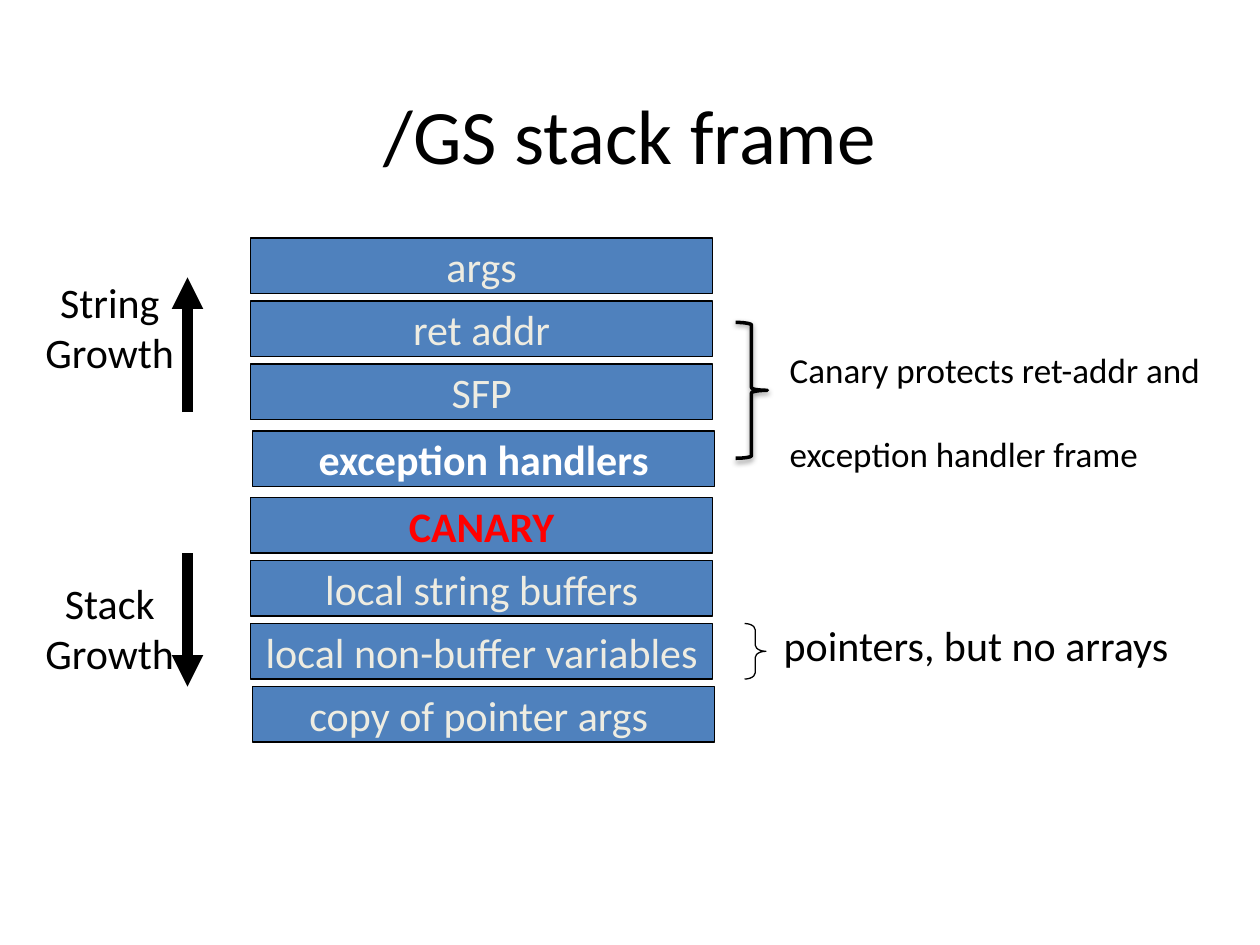
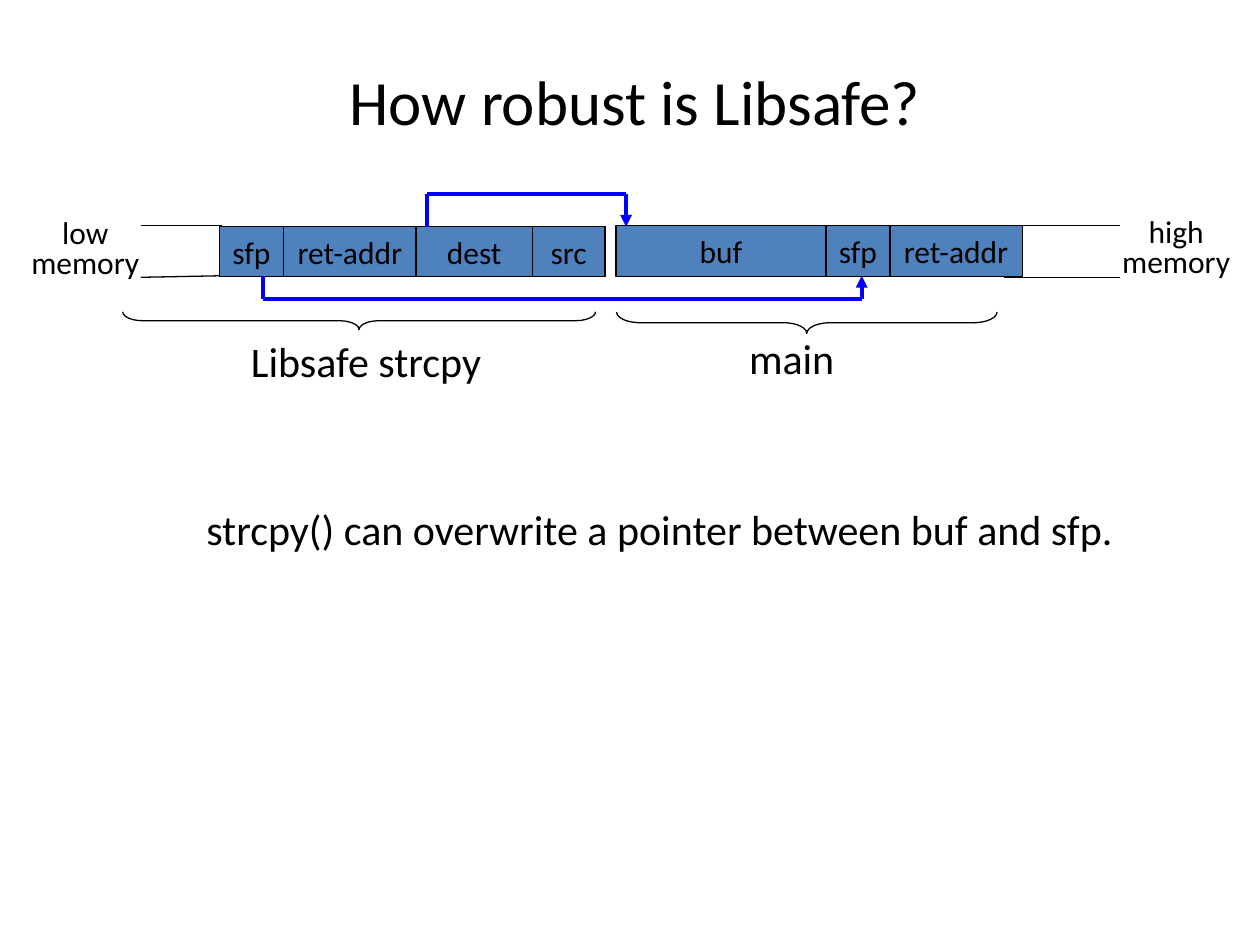
from itertools import pairwise

from lxml.etree import SubElement
from pptx import Presentation
from pptx.dml.color import RGBColor
from pptx.enum.shapes import MSO_CONNECTOR, MSO_SHAPE
from pptx.enum.text import MSO_ANCHOR, MSO_AUTO_SIZE, PP_ALIGN
from pptx.oxml.ns import qn
from pptx.util import Cm, Pt

FONT = "Calibri"
BLACK, WHITE, RED = "000000", "FFFFFF", "FF0000"
CREAM, BOX_BLUE, ARROW_BLUE = "EEECE1", "4F81BD", "0000FF"
TITLE_ONLY = 5


def color(hex_text):
    return RGBColor.from_string(hex_text)


class SlideBuilder:
    """Keeps the deck, its style and the slide being filled; lengths are in cm."""

    def __init__(self):
        self.deck = Presentation()
        self.deck.slide_width, self.deck.slide_height = Cm(25.4), Cm(19.05)
        self.slide = None

    def new_slide(self, title, left, top, size):
        self.slide = self.deck.slides.add_slide(self.deck.slide_layouts[TITLE_ONLY])
        box = self.slide.shapes.title
        box.left, box.top, box.width, box.height = Cm(left), Cm(top), Cm(22.86), Cm(2.39)
        self.set_text(box, title, size)
        box.text_frame.vertical_anchor = MSO_ANCHOR.TOP
        box.text_frame.word_wrap = True

    def set_text(self, box, text, size, text_color=BLACK, bold=False,
                 align=PP_ALIGN.CENTER, spacing=None):
        frame = box.text_frame
        frame.text = text
        frame.word_wrap = False
        frame.auto_size = MSO_AUTO_SIZE.NONE
        for para in frame.paragraphs:
            para.alignment = align
            para.line_spacing = spacing
            for span in para.runs:
                span.font.name = FONT
                span.font.size = Pt(size)
                span.font.bold = bold
                span.font.color.rgb = color(text_color)

    def label(self, text, left, top, width, height=1.27, size=24, **style):
        box = self.slide.shapes.add_textbox(Cm(left), Cm(top), Cm(width), Cm(height))
        self.set_text(box, text, size, **style)
        return box

    def shape(self, kind, left, top, width, height, weight=0.75):
        shape = self.slide.shapes.add_shape(kind, Cm(left), Cm(top), Cm(width), Cm(height))
        shape.shadow.inherit = False
        shape.fill.background()
        shape.line.color.rgb = color(BLACK)
        shape.line.width = Pt(weight)
        return shape

    def cell(self, text, left, top, width, height, size, **style):
        box = self.shape(MSO_SHAPE.RECTANGLE, left, top, width, height)
        box.fill.solid()
        box.fill.fore_color.rgb = color(BOX_BLUE)
        self.set_text(box, text, size, **style)
        box.text_frame.vertical_anchor = MSO_ANCHOR.MIDDLE

    def strip(self, cells, left, top):
        """Puts (text, width) cells side by side."""
        for text, width in cells:
            self.cell(text, left, top, width, 1.02, 18)
            left += width

    def brace(self, kind, left, top, width, height, curve=None, rotation=0, weight=0.75):
        brace = self.shape(kind, left, top, width, height, weight)
        brace.rotation = rotation
        if curve is not None:
            brace.adjustments[0] = curve
        return brace

    def soft_shadow(self, shape):
        effects = shape.element.spPr.find(qn("a:effectLst"))
        shadow = SubElement(effects, qn("a:outerShdw"), blurRad=str(Pt(3.1)),
                            dist=str(Pt(1.6)), dir="5400000", rotWithShape="0")
        black = SubElement(shadow, qn("a:srgbClr"), val=BLACK)
        SubElement(black, qn("a:alpha"), val="38000")

    def route(self, points, weight=0.75, line_color=BLACK, arrow=False):
        """Joins points with straight lines, with an optional arrowhead at the last."""
        for start, end in pairwise(points):
            line = self.slide.shapes.add_connector(
                MSO_CONNECTOR.STRAIGHT, *map(Cm, start + end))
            line.line.color.rgb = color(line_color)
            line.line.width = Pt(weight)
            SubElement(line.element.spPr, qn("a:effectLst"))
        if arrow:
            outline = line.element.spPr.find(qn("a:ln"))
            SubElement(outline, qn("a:tailEnd"), type="triangle")


def stack_frame(builder):
    builder.new_slide("/GS stack frame", 1.27, 1.63, 44)
    left, shifted_left, pitch = 5.05, 5.09, 1.27
    upper, handlers, lower = 4.8, 8.69, 10.03
    for row, text in enumerate(["args", "ret addr", "SFP"]):
        builder.cell(text, left, upper + row * pitch, 9.32, 1.12, 24, text_color=CREAM)
    builder.cell("exception handlers", shifted_left, handlers, 9.32, 1.12, 24,
                 text_color=WHITE, bold=True)
    builder.cell("CANARY", left, lower, 9.32, 1.12, 24, text_color=RED, bold=True)
    locals_and_copies = [("local string buffers", left),
                         ("local non-buffer variables", left),
                         ("copy of pointer args ", shifted_left)]
    for row, (text, row_left) in enumerate(locals_and_copies, 1):
        builder.cell(text, row_left, lower + row * pitch, 9.32, 1.12, 24, text_color=CREAM)

    for text, top, start, end in [("String\vGrowth", 5.44, 8.31, 5.59),
                                  ("Stack\vGrowth", 11.51, 11.15, 13.84)]:
        builder.route([(3.78, start), (3.78, end)], weight=6, arrow=True)
        builder.label(text, 0.64, top, 3.15, 2.31)

    builder.brace(MSO_SHAPE.RIGHT_BRACE, 15.01, 12.57, 0.43, 1.12, curve=0.29)
    builder.label("pointers, but no arrays", 15.47, 12.37, 8.41)
    brace = builder.brace(MSO_SHAPE.RIGHT_BRACE, 14.83, 6.5, 0.64, 2.74, weight=2)
    builder.soft_shadow(brace)
    note = builder.label("Canary protects ret-addr and\nexception handler frame",
                         15.67, 6.91, 8.89, 1.96, size=20, align=PP_ALIGN.LEFT)
    note.text_frame.word_wrap = True
    note.text_frame.paragraphs[1].space_before = Pt(24)


def libsafe(builder):
    builder.new_slide("How robust is Libsafe?", 1.37, 1.14, 36)
    builder.label("strcpy() can overwrite a pointer between buf and sfp.",
                  3.91, 10.03, 19.05, align=PP_ALIGN.LEFT)

    for edge in (4.55, 5.59):
        builder.route([(20.24, edge), (22.58, edge)])
    builder.route([(2.84, 4.55), (4.47, 4.55)])
    builder.route([(2.84, 5.59), (4.45, 5.56)])
    builder.strip([("sfp", 1.3), ("ret-addr", 2.67), ("dest", 2.34), ("src", 1.47)],
                  4.42, 4.56)
    builder.strip([("buf", 4.23), ("sfp", 1.29), ("ret-addr", 2.67)], 12.42, 4.55)
    for text, left, top in [("low\vmemory", 0.36, 4.32), ("high\vmemory", 22.35, 4.29)]:
        builder.label(text, left, top, 2.72, 1.52, size=18, spacing=0.8)

    pointers = [
        [(5.31, 5.56), (5.31, 6.02), (17.37, 6.02), (17.37, 5.56)],
        [(8.61, 4.57), (8.61, 3.91), (12.62, 3.91), (12.62, 4.57)],
    ]
    for points in pointers:
        builder.route(points, weight=2.25, line_color=ARROW_BLUE, arrow=True)

    builder.brace(MSO_SHAPE.LEFT_BRACE, 7.06, 1.7, 0.36, 9.53, curve=1.11, rotation=270)
    builder.label("Libsafe strcpy", 4.75, 6.63, 5.26)
    builder.brace(MSO_SHAPE.LEFT_BRACE, 16.05, 2.67, 0.43, 7.67, curve=1.11, rotation=270)
    builder.label("main", 14.83, 6.58, 2.26)


def main():
    builder = SlideBuilder()
    stack_frame(builder)
    libsafe(builder)
    builder.deck.save("out.pptx")


if __name__ == "__main__":
    main()
